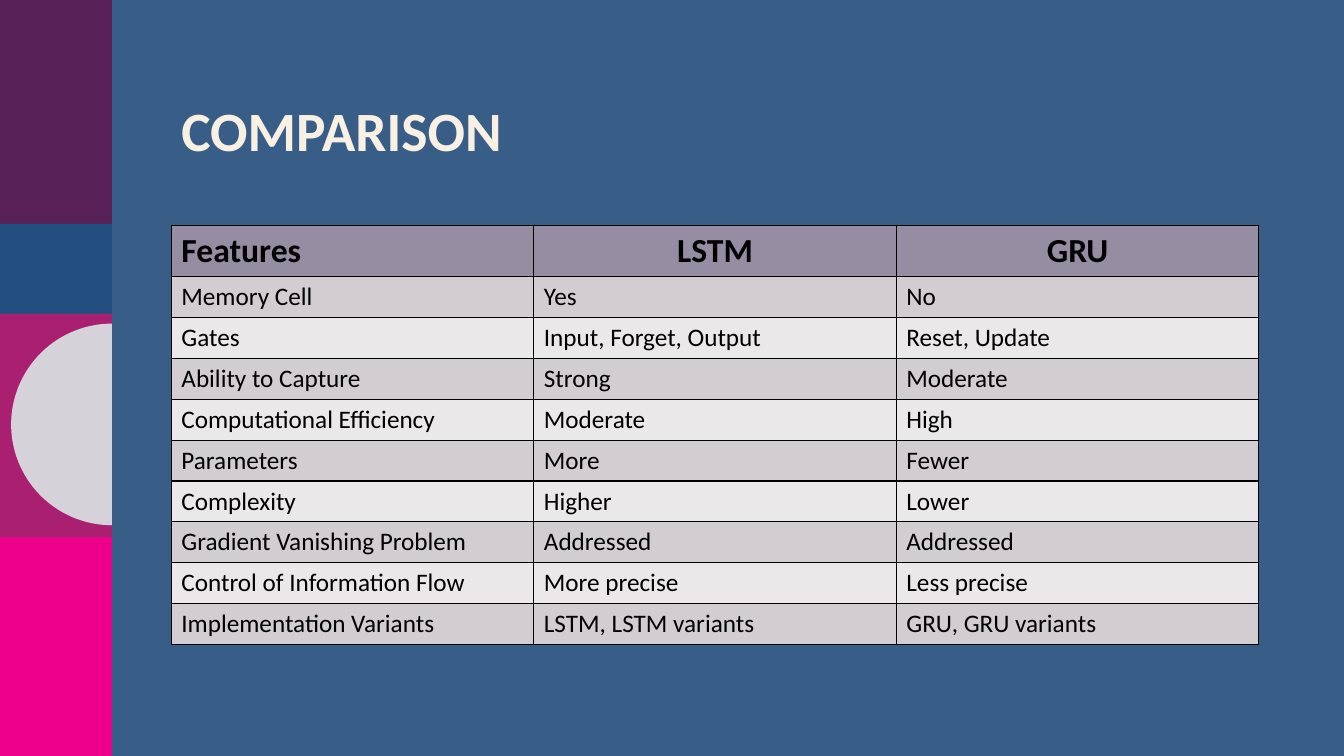
from dataclasses import dataclass
from math import cos, pi, sin

from lxml.etree import SubElement
from pptx import Presentation
from pptx.dml.color import RGBColor
from pptx.enum.shapes import MSO_SHAPE
from pptx.enum.text import MSO_ANCHOR, PP_ALIGN
from pptx.oxml.ns import qn
from pptx.util import Emu, Inches, Pt

WIDE, HIGH = Inches(13.333), Inches(7.5)
UNIT = WIDE / 12  # square grid module, one twelfth of the width

FONT = "Calibri"
BLACK = RGBColor(0x00, 0x00, 0x00)
CREAM = RGBColor(0xF8, 0xF0, 0xE3)
BLUE = RGBColor(0x38, 0x5E, 0x88)
NAVY = RGBColor(0x22, 0x4E, 0x7F)
PLUM = RGBColor(0x58, 0x21, 0x56)
BERRY = RGBColor(0xAA, 0x20, 0x70)
PINK = RGBColor(0xEC, 0x00, 0x8C)
SILVER = RGBColor(0xD5, 0xD2, 0xDA)
MAUVE = RGBColor(0x95, 0x8E, 0xA2)
DARK = RGBColor(0xD1, 0xCD, 0xD1)
LIGHT = RGBColor(0xEA, 0xE8, 0xE9)


@dataclass(frozen=True)
class Band:
    top: float
    height: float
    color: RGBColor


BANDS = [
    Band(4.75, 2, PINK),
    Band(2.8, 2, BERRY),
    Band(0, 2, PLUM),
    Band(2, 0.8, NAVY),
]

LEFT, SPAN = 1.53, 9.71
HEAD_ROW, BODY_ROW = 0.46, 0.365
ROWS = [
    ("Features", "LSTM", "GRU"),
    ("Memory Cell", "Yes", "No"),
    ("Gates", "Input, Forget, Output", "Reset, Update"),
    ("Ability to Capture", "Strong", "Moderate"),
    ("Computational Efficiency", "Moderate", "High"),
    ("Parameters", "More", "Fewer"),
    ("Complexity", "Higher", "Lower"),
    ("Gradient Vanishing Problem", "Addressed", "Addressed"),
    ("Control of Information Flow", "More precise", "Less precise"),
    ("Implementation Variants", "LSTM, LSTM variants", "GRU, GRU variants"),
]


def grid(count: float) -> Emu:
    """Turn grid modules into a length."""
    return Emu(round(count * UNIT))


def write(frame, text: str, *, size: float, color=BLACK, bold=False,
          align=PP_ALIGN.LEFT, space=1.0) -> None:
    par = frame.paragraphs[0]
    par.alignment = align
    par.line_spacing = space
    run = par.add_run()
    run.text = text
    run.font.name = FONT
    run.font.size = Pt(size)
    run.font.bold = bold
    run.font.color.rgb = color


def paint(shape, color: RGBColor) -> None:
    shape.shadow.inherit = False
    shape.fill.solid()
    shape.fill.fore_color.rgb = color
    shape.line.fill.background()


def draw_band(slide, band: Band) -> None:
    shape = slide.shapes.add_shape(
        MSO_SHAPE.RECTANGLE, 0, grid(band.top), grid(1), grid(band.height))
    paint(shape, band.color)


def draw_disc(slide, x: float, y: float, size: float, steps: int = 90) -> None:
    """Draw the left half of a disc centred at x, y."""
    turns = [pi / 2 + pi * step / steps for step in range(steps + 1)]
    points = [(grid(x + size * cos(turn)), grid(y + size * sin(turn)))
              for turn in turns]
    form = slide.shapes.build_freeform(*points[0])
    form.add_line_segments(points[1:], close=True)
    paint(form.convert_to_shape(), SILVER)


def frame_cell(cell) -> None:
    """Put a thin black line on each side of a cell."""
    props = cell._tc.get_or_add_tcPr()
    for side in ("lnL", "lnR", "lnT", "lnB"):
        line = SubElement(props, qn(f"a:{side}"), w=str(Pt(1)))
        fill = SubElement(line, qn("a:solidFill"))
        SubElement(fill, qn("a:srgbClr"), val=str(BLACK))


def draw_table(slide) -> None:
    high = HEAD_ROW + BODY_ROW * (len(ROWS) - 1)
    table = slide.shapes.add_table(
        len(ROWS), len(ROWS[0]), grid(LEFT), grid(2.01),
        grid(SPAN), grid(high)).table
    table.horz_banding = False
    for row, texts in enumerate(ROWS):
        head = row == 0
        table.rows[row].height = grid(HEAD_ROW if head else BODY_ROW)
        for col, text in enumerate(texts):
            cell = table.cell(row, col)
            frame_cell(cell)
            cell.fill.solid()
            cell.fill.fore_color.rgb = (
                MAUVE if head else DARK if row % 2 else LIGHT)
            cell.vertical_anchor = MSO_ANCHOR.TOP if head else MSO_ANCHOR.MIDDLE
            write(cell.text_frame, text, size=24 if head else 18, bold=head,
                  align=PP_ALIGN.CENTER if head and col else PP_ALIGN.LEFT)


def draw_title(slide) -> None:
    box = slide.shapes.add_textbox(
        grid(LEFT), grid(0.88), grid(SPAN), grid(0.62))
    frame = box.text_frame
    frame.word_wrap = True
    frame.vertical_anchor = MSO_ANCHOR.MIDDLE
    write(frame, "COMPARISON", size=39.6, color=CREAM, bold=True, space=0.9)


def main() -> None:
    deck = Presentation()
    deck.slide_width, deck.slide_height = WIDE, HIGH
    slide = deck.slides.add_slide(deck.slide_layouts[6])
    slide.background.fill.solid()
    slide.background.fill.fore_color.rgb = BLUE
    for band in BANDS:
        draw_band(slide, band)
    draw_disc(slide, 1, 3.79, 0.9)
    draw_title(slide)
    draw_table(slide)
    deck.save("out.pptx")


if __name__ == "__main__":
    main()
